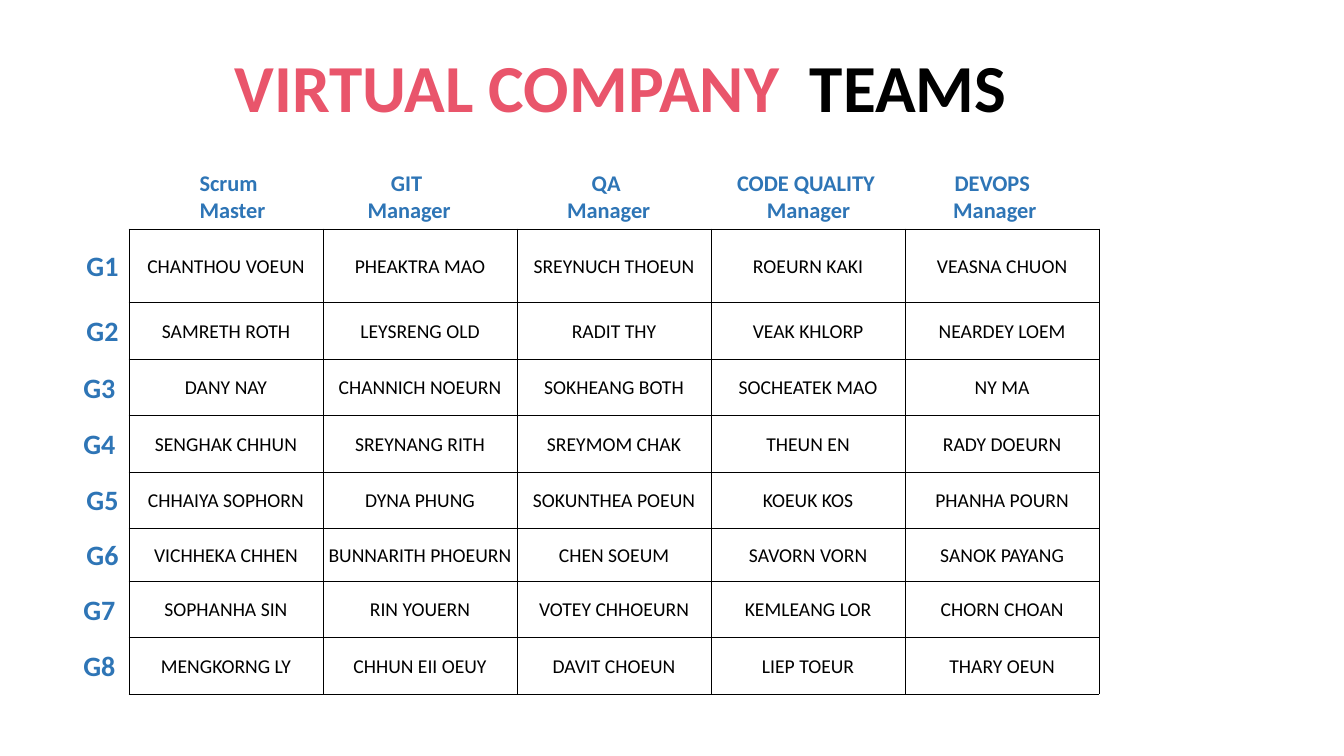
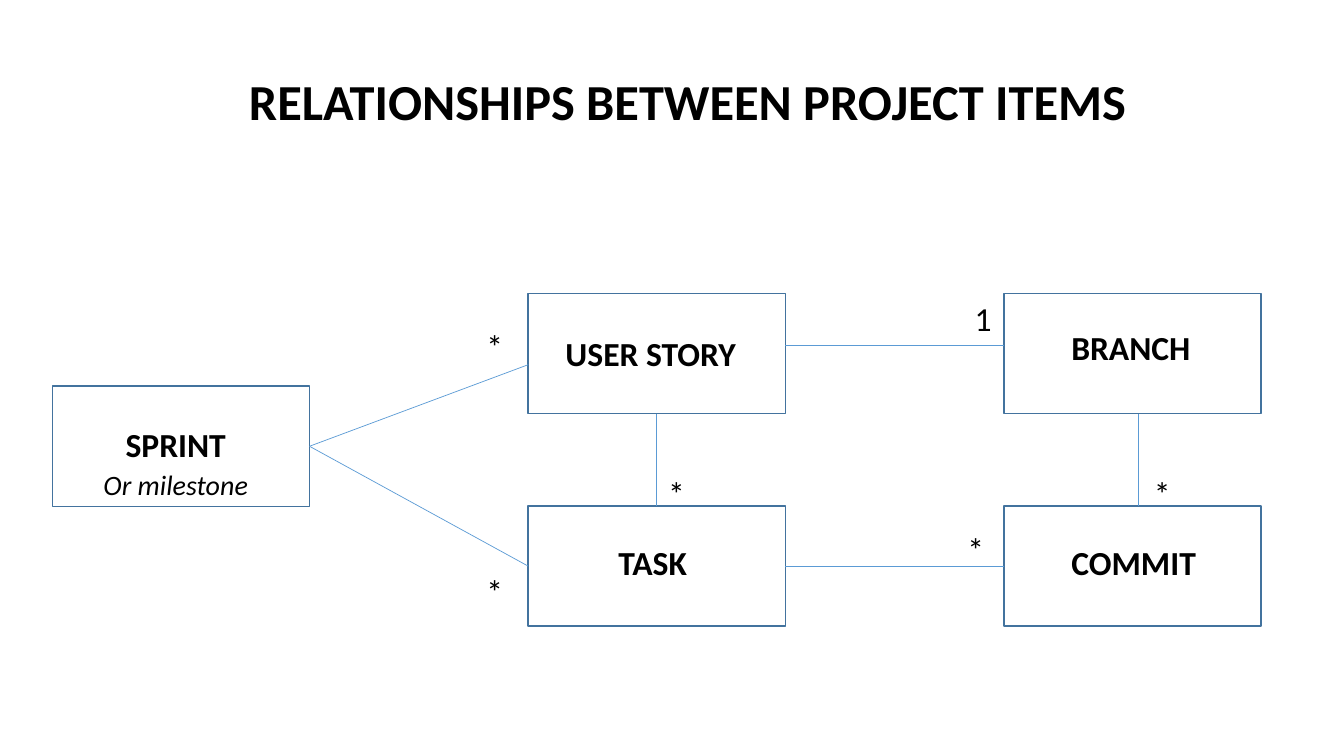
from dataclasses import dataclass
from typing import NamedTuple

from lxml import etree
from pptx import Presentation
from pptx import util as u
from pptx.dml import color
from pptx.enum import shapes, text
from pptx.oxml import ns

LEFT, CENTER = text.PP_ALIGN.LEFT, text.PP_ALIGN.CENTER
TOP, MIDDLE = text.MSO_ANCHOR.TOP, text.MSO_ANCHOR.MIDDLE


@dataclass(frozen=True)
class Theme:
    font: str = "Calibri"
    black: str = "000000"
    white: str = "FFFFFF"
    pink: str = "E9556B"
    label_blue: str = "2E75B6"
    box_line: str = "43739E"
    link_line: str = "5B9BD5"
    big_title: int = 48
    title: int = 36
    item: int = 24
    label: int = 20
    head: int = 16
    cell: int = 14


THEME = Theme()


class Area(NamedTuple):
    """A rectangle in centimetres."""
    left: float
    top: float
    width: float
    height: float

    def lengths(self) -> list[u.Length]:
        return [u.Cm(value) for value in self]


class Run(NamedTuple):
    text: str
    size: int
    color: str = THEME.black
    bold: bool = False
    italic: bool = False


class Head(NamedTuple):
    lines: tuple[str, str]
    left: float
    width: float
    align: text.PP_ALIGN = CENTER


class Box(NamedTuple):
    """A diagram item; dx and dy shift its text from the centre."""
    name: str
    left: float
    top: float
    dx: float
    dy: float
    note: str = ""


class Joint(NamedTuple):
    box: str
    side: int


class Point(NamedTuple):
    x: float
    y: float


class Link(NamedTuple):
    start: Joint | Point
    end: Joint | Point


class Mark(NamedTuple):
    text: str
    left: float
    top: float


TABLE_LEFT, TABLE_TOP, COLUMN_WIDTH = 3.25, 5.77, 4.89
ROW_HEIGHTS = [1.86] + [1.42] * 4 + [1.34] + [1.42] * 2
TEAMS = [
    ("CHANTHOU VOEUN", "PHEAKTRA MAO", "SREYNUCH THOEUN", "ROEURN KAKI", "VEASNA CHUON"),
    ("SAMRETH ROTH", "LEYSRENG OLD", "RADIT THY", "VEAK KHLORP", "NEARDEY LOEM"),
    ("DANY NAY", "CHANNICH NOEURN", "SOKHEANG BOTH", "SOCHEATEK MAO", "NY MA"),
    ("SENGHAK CHHUN", "SREYNANG RITH", "SREYMOM CHAK", "THEUN EN", "RADY DOEURN"),
    ("CHHAIYA SOPHORN", "DYNA PHUNG", "SOKUNTHEA POEUN", "KOEUK KOS", "PHANHA POURN"),
    ("VICHHEKA CHHEN", "BUNNARITH PHOEURN", "CHEN SOEUM", "SAVORN VORN", "SANOK PAYANG"),
    ("SOPHANHA SIN", "RIN YOUERN", "VOTEY CHHOEURN", "KEMLEANG LOR", "CHORN CHOAN"),
    ("MENGKORNG LY", "CHHUN EII OEUY", "DAVIT CHOEUN", "LIEP TOEUR", "THARY OEUN"),
]
HEADS = [
    Head(("Scrum", "Master"), 4.78, 2.17, LEFT),
    Head(("GIT ", "Manager"), 8.99, 2.64),
    Head(("QA ", "Manager"), 14.02, 2.64),
    Head(("CODE QUALITY ", "Manager"), 18.29, 4.17),
    Head(("DEVOPS ", "Manager"), 23.75, 2.64),
]

BOX_WIDTH, BOX_HEIGHT = 6.48, 3.03
COLUMNS = [1.32 + 11.99 * column for column in range(3)]
UPPER, MIDWAY, LOWER = 7.39, 9.73, 12.75
BOXES = [
    Box("SPRINT", COLUMNS[0], MIDWAY, -0.13, 0.4, "Or milestone"),
    Box("USER STORY", COLUMNS[1], UPPER, -0.15, 0),
    Box("TASK", COLUMNS[1], LOWER, -0.1, -0.09),
    Box("BRANCH", COLUMNS[2], UPPER, -0.04, -0.17),
    Box("COMMIT", COLUMNS[2], LOWER, 0.03, -0.09),
]
LINKS = [
    Link(Joint("SPRINT", 3), Point(COLUMNS[1], 9.19)),
    Link(Joint("SPRINT", 3), Joint("TASK", 1)),
    Link(Joint("USER STORY", 2), Joint("TASK", 0)),
    Link(Joint("TASK", 3), Joint("COMMIT", 1)),
    Link(Point(COLUMNS[1] + BOX_WIDTH, 8.69), Point(COLUMNS[2], 8.69)),
    Link(Point(28.68, UPPER + BOX_HEIGHT), Point(28.68, LOWER)),
]
MARKS = [
    Mark("*", 12.01, 8.1),
    Mark("*", 12.01, 14.25),
    Mark("*", 16.59, 11.79),
    Mark("*", 24.13, 13.21),
    Mark("*", 28.83, 11.79),
    Mark("1", 24.31, 7.39),
]


def rgb(value: str) -> color.RGBColor:
    return color.RGBColor.from_string(value)


def write(tf, paragraphs: list[list[Run]], align=LEFT) -> None:
    for index, runs in enumerate(paragraphs):
        p = tf.add_paragraph() if index else tf.paragraphs[0]
        p.alignment = align
        for run in runs:
            r = p.add_run()
            r.text = run.text
            values = {"name": THEME.font, "size": u.Pt(run.size),
                      "bold": run.bold, "italic": run.italic}
            for key, value in values.items():
                setattr(r.font, key, value)
            r.font.color.rgb = rgb(run.color)


def set_frame(tf, anchor=TOP) -> None:
    values = {"word_wrap": False, "auto_size": text.MSO_AUTO_SIZE.NONE,
              "vertical_anchor": anchor}
    for key, value in values.items():
        setattr(tf, key, value)


def add_text(s, area: Area, paragraphs: list[list[Run]], align=LEFT) -> None:
    tf = s.shapes.add_textbox(*area.lengths()).text_frame
    set_frame(tf)
    write(tf, paragraphs, align)


def add_titled_slide(prs, area: Area, runs: list[Run], align):
    s = prs.slides.add_slide(prs.slide_layouts[5])
    title = s.shapes.title
    for key, value in zip(("left", "top", "width", "height"), area.lengths()):
        setattr(title, key, value)
    set_frame(title.text_frame)
    write(title.text_frame, [runs], align)
    return s


def set_borders(cell) -> None:
    props = cell._tc.get_or_add_tcPr()
    for index, side in enumerate(("lnL", "lnR", "lnT", "lnB")):
        line = etree.Element(ns.qn(f"a:{side}"), w=str(u.Pt(0.5)))
        fill = etree.SubElement(line, ns.qn("a:solidFill"))
        etree.SubElement(fill, ns.qn("a:srgbClr"), val=THEME.black)
        props.insert(index, line)


def add_team_table(s) -> None:
    columns = len(TEAMS[0])
    area = Area(TABLE_LEFT, TABLE_TOP, columns * COLUMN_WIDTH, sum(ROW_HEIGHTS))
    table = s.shapes.add_table(len(TEAMS), columns, *area.lengths()).table
    table.first_row = table.horz_banding = False
    for column in table.columns:
        column.width = u.Cm(COLUMN_WIDTH)
    inset = u.Cm(0.03)
    values = {"margin_left": inset, "margin_right": inset, "margin_top": inset,
              "margin_bottom": 0, "vertical_anchor": MIDDLE}
    for row, height, names in zip(table.rows, ROW_HEIGHTS, TEAMS):
        row.height = u.Cm(height)
        for cell, name in zip(row.cells, names):
            for key, value in values.items():
                setattr(cell, key, value)
            cell.fill.solid()
            cell.fill.fore_color.rgb = rgb(THEME.white)
            set_borders(cell)
            write(cell.text_frame, [[Run(name, THEME.cell)]], CENTER)


def add_group_labels(s) -> None:
    """Centre each label on its row; left edges alternate in pairs."""
    width, height = 1.32, 1.12
    top = TABLE_TOP
    for number, row_height in enumerate(ROW_HEIGHTS, 1):
        left = 1.93 if number % 4 in (1, 2) else 1.85
        area = Area(left, top + (row_height - height) / 2, width, height)
        add_text(s, area, [[Run(f"G{number}", THEME.label, THEME.label_blue, True)]])
        top += row_height


def add_box(s, box: Box):
    area = Area(box.left, box.top, BOX_WIDTH, BOX_HEIGHT)
    sp = s.shapes.add_shape(shapes.MSO_SHAPE.RECTANGLE, *area.lengths())
    sp.shadow.inherit = False
    sp.fill.background()
    sp.line.color.rgb = rgb(THEME.box_line)
    sp.line.width = u.Pt(1)
    tf = sp.text_frame
    set_frame(tf, MIDDLE)
    insets = {"left": box.dx, "right": -box.dx, "top": box.dy, "bottom": -box.dy}
    for side, shift in insets.items():
        setattr(tf, f"margin_{side}", u.Cm(max(0, 2 * shift)))
    paragraphs = [[Run(box.name, THEME.item, bold=True)]]
    if box.note:
        paragraphs.append([Run(box.note, THEME.label, italic=True)])
    write(tf, paragraphs, CENTER)
    if box.note:
        tf.paragraphs[1].space_before = u.Pt(2.5)
    return sp


def add_link(s, link: Link, boxes: dict) -> None:
    ends = [u.Cm(value) for end in link
            for value in (end if isinstance(end, Point) else (0, 0))]
    line = s.shapes.add_connector(shapes.MSO_CONNECTOR.STRAIGHT, *ends)
    for end, connect in zip(link, (line.begin_connect, line.end_connect)):
        if isinstance(end, Joint):
            connect(boxes[end.box], end.side)
    line.line.color.rgb = rgb(THEME.link_line)
    line.line.width = u.Pt(0.5)
    etree.SubElement(line._element.spPr, ns.qn("a:effectLst"))


def build_teams(prs) -> None:
    title = [Run("VIRTUAL COMPANY ", THEME.big_title, THEME.pink, True),
             Run(" TEAMS", THEME.big_title, bold=True)]
    s = add_titled_slide(prs, Area(5.66, 1.02, 20.17, 2.31), title, LEFT)
    add_team_table(s)
    add_group_labels(s)
    for head in HEADS:
        lines = [[Run(line, THEME.head, THEME.label_blue, True)] for line in head.lines]
        add_text(s, Area(head.left, 4.14, head.width, 1.63), lines, head.align)


def build_relationships(prs) -> None:
    title = [Run("RELATIONSHIPS BETWEEN PROJECT ITEMS", THEME.title, bold=True)]
    s = add_titled_slide(prs, Area(5.92, 1.63, 22.83, 1.8), title, CENTER)
    boxes = {box.name: add_box(s, box) for box in BOXES}
    for link in LINKS:
        add_link(s, link, boxes)
    for mark in MARKS:
        add_text(s, Area(mark.left, mark.top, 0.94, 1.27), [[Run(mark.text, THEME.item)]])


def main() -> None:
    prs = Presentation()
    prs.slide_width, prs.slide_height = u.Cm(33.87), u.Cm(19.05)
    build_teams(prs)
    build_relationships(prs)
    prs.save("out.pptx")


if __name__ == "__main__":
    main()
